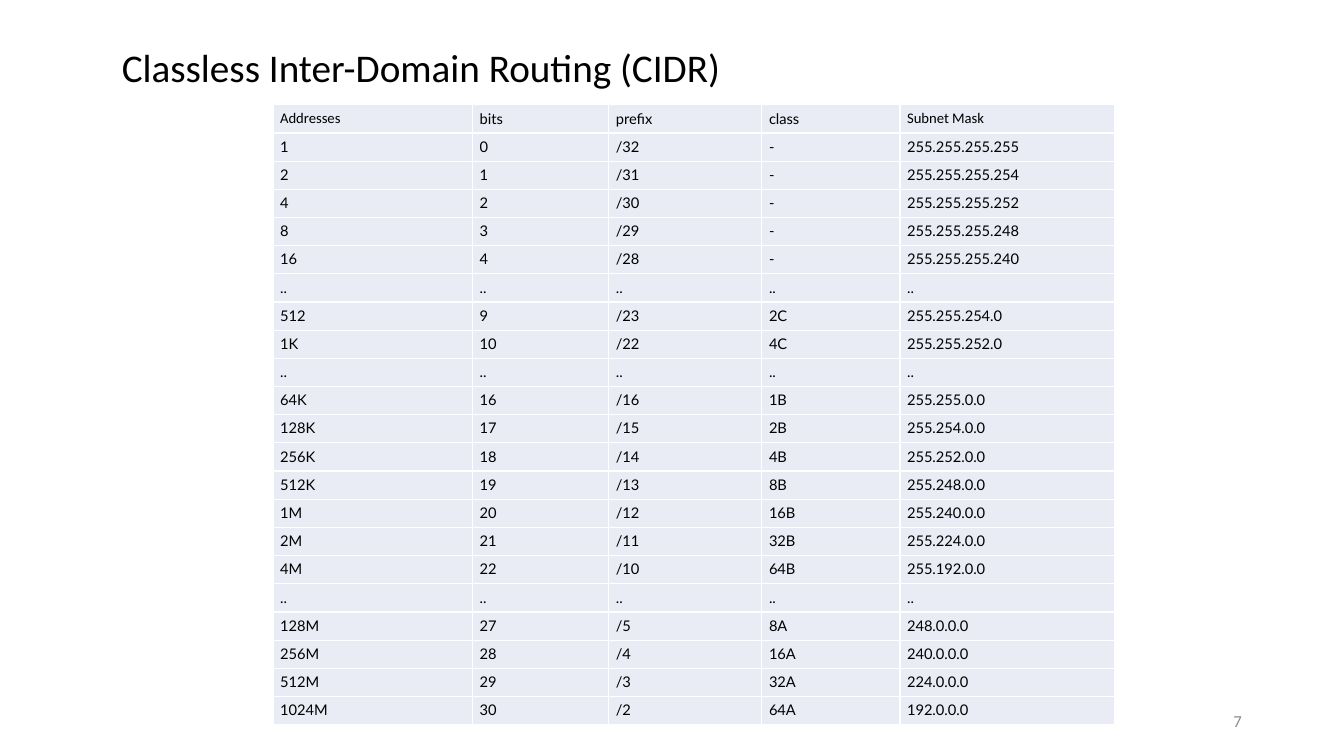
"""Build a slide with a table of CIDR block sizes, prefixes and subnet masks."""
from dataclasses import dataclass

from lxml import etree
from pptx import Presentation
from pptx.dml.color import RGBColor
from pptx.enum.text import MSO_ANCHOR, PP_ALIGN
from pptx.oxml.ns import qn
from pptx.util import Cm, Pt

MIDDLE = MSO_ANCHOR.MIDDLE
LEFT, RIGHT = PP_ALIGN.LEFT, PP_ALIGN.RIGHT
HUES = {"ink": "000000", "page": "8C8C8C", "cell": "E9EBF5", "rule": "FFFFFF"}
SANS, BODY = "Calibri", "Lato"
ROW = 0.71
SIDES = ("a:lnL", "a:lnR", "a:lnT", "a:lnB")


@dataclass
class Label:
    text: str
    left: float
    top: float
    width: float
    height: float
    size: float
    hue: str
    align: PP_ALIGN
    lead: float


@dataclass
class Field:
    name: str
    width: float
    font: str


LABELS = [
    Label("Classless Inter-Domain Routing (CIDR)", 2.82, 1.09, 20.27, 1.35, 28, "ink", LEFT, 0.9),
    Label("7", 23.93, 17.65, 7.62, 1.02, 12, "page", RIGHT, 1.0),
]
FIELDS = [
    Field("Addresses", 5.03, SANS),
    Field("bits", 3.43, BODY),
    Field("prefix", 3.86, BODY),
    Field("class", 3.48, BODY),
    Field("Subnet Mask", 5.41, SANS),
]
GAP = ("..",) * len(FIELDS)
BLOCKS = [
    ("1", "0", "/32", "-", "255.255.255.255"),
    ("2", "1", "/31", "-", "255.255.255.254"),
    ("4", "2", "/30", "-", "255.255.255.252"),
    ("8", "3", "/29", "-", "255.255.255.248"),
    ("16", "4", "/28", "-", "255.255.255.240"),
    GAP,
    ("512", "9", "/23", "2C", "255.255.254.0"),
    ("1K", "10", "/22", "4C", "255.255.252.0"),
    GAP,
    ("64K", "16", "/16", "1B", "255.255.0.0"),
    ("128K", "17", "/15", "2B", "255.254.0.0"),
    ("256K", "18", "/14", "4B", "255.252.0.0"),
    ("512K", "19", "/13", "8B", "255.248.0.0"),
    ("1M", "20", "/12", "16B", "255.240.0.0"),
    ("2M", "21", "/11", "32B", "255.224.0.0"),
    ("4M", "22", "/10", "64B", "255.192.0.0"),
    GAP,
    ("128M", "27", "/5", "8A", "248.0.0.0"),
    ("256M", "28", "/4", "16A", "240.0.0.0"),
    ("512M", "29", "/3", "32A", "224.0.0.0"),
    ("1024M", "30", "/2", "64A", "192.0.0.0"),
]


def add_run(para, text: str, size: float, font: str, hue: str) -> None:
    run = para.add_run()
    run.text = text
    run.font.size = Pt(size)
    run.font.name = font
    run.font.color.rgb = RGBColor.from_string(HUES[hue])


def add_label(slide, label: Label) -> None:
    box = slide.shapes.add_textbox(
        Cm(label.left), Cm(label.top), Cm(label.width), Cm(label.height))
    frame = box.text_frame
    frame.word_wrap = True
    frame.vertical_anchor = MIDDLE
    para = frame.paragraphs[0]
    para.alignment = label.align
    para.line_spacing = label.lead
    add_run(para, label.text, label.size, SANS, label.hue)


def add_rules(cell) -> None:
    props = cell._tc.get_or_add_tcPr()
    for side in SIDES:
        line = etree.SubElement(props, qn(side), w=str(Pt(1)))
        fill = etree.SubElement(line, qn("a:solidFill"))
        etree.SubElement(fill, qn("a:srgbClr"), val=HUES["rule"])


def set_space(para) -> None:
    para.line_spacing = Pt(12)
    para.space_before = Pt(2)
    para.space_after = Pt(12)
    before = para._p.pPr.find(qn("a:spcBef"))
    before.remove(before[0])
    etree.SubElement(before, qn("a:spcPct"), val="20000")


def fill_cell(cell, text: str, font: str) -> None:
    add_rules(cell)
    cell.fill.solid()
    cell.fill.fore_color.rgb = RGBColor.from_string(HUES["cell"])
    cell.vertical_anchor = MIDDLE
    cell.margin_left = cell.margin_right = Cm(0.18)
    cell.margin_top = cell.margin_bottom = Cm(0)
    para = cell.text_frame.paragraphs[0]
    set_space(para)
    add_run(para, text, 10.5, font, "ink")


def add_grid(slide) -> None:
    count = len(BLOCKS) + 1
    width = sum(field.width for field in FIELDS)
    grid = slide.shapes.add_table(
        count, len(FIELDS), Cm(6.88), Cm(2.64), Cm(width), Cm(ROW * count)).table
    grid.first_row = False
    grid.horz_banding = False
    for row in grid.rows:
        row.height = Cm(ROW)
    for col, field in enumerate(FIELDS):
        grid.columns[col].width = Cm(field.width)
        fill_cell(grid.cell(0, col), field.name, field.font)
        for row, block in enumerate(BLOCKS, 1):
            fill_cell(grid.cell(row, col), block[col], BODY)


def main() -> None:
    deck = Presentation()
    deck.slide_width = Cm(33.87)
    deck.slide_height = Cm(19.05)
    slide = deck.slides.add_slide(deck.slide_layouts[6])
    for label in LABELS:
        add_label(slide, label)
    add_grid(slide)
    deck.save("out.pptx")


if __name__ == "__main__":
    main()
